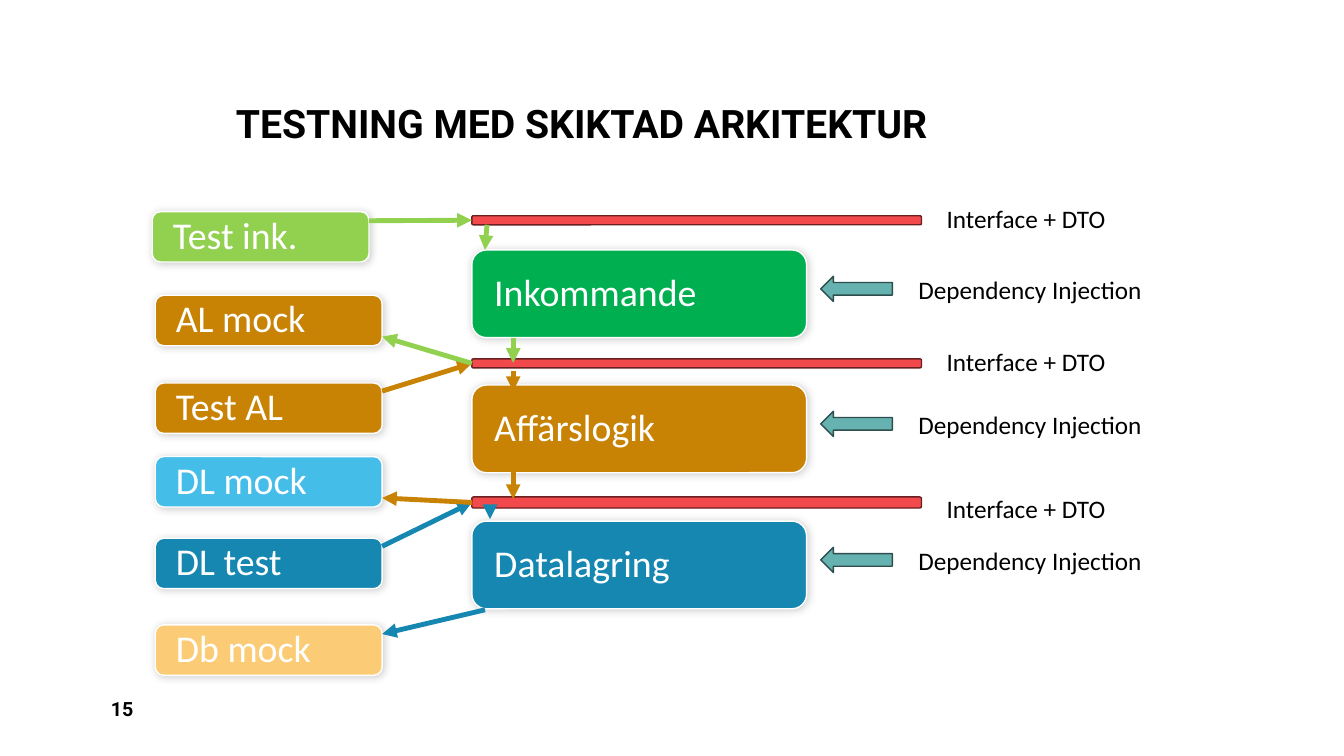
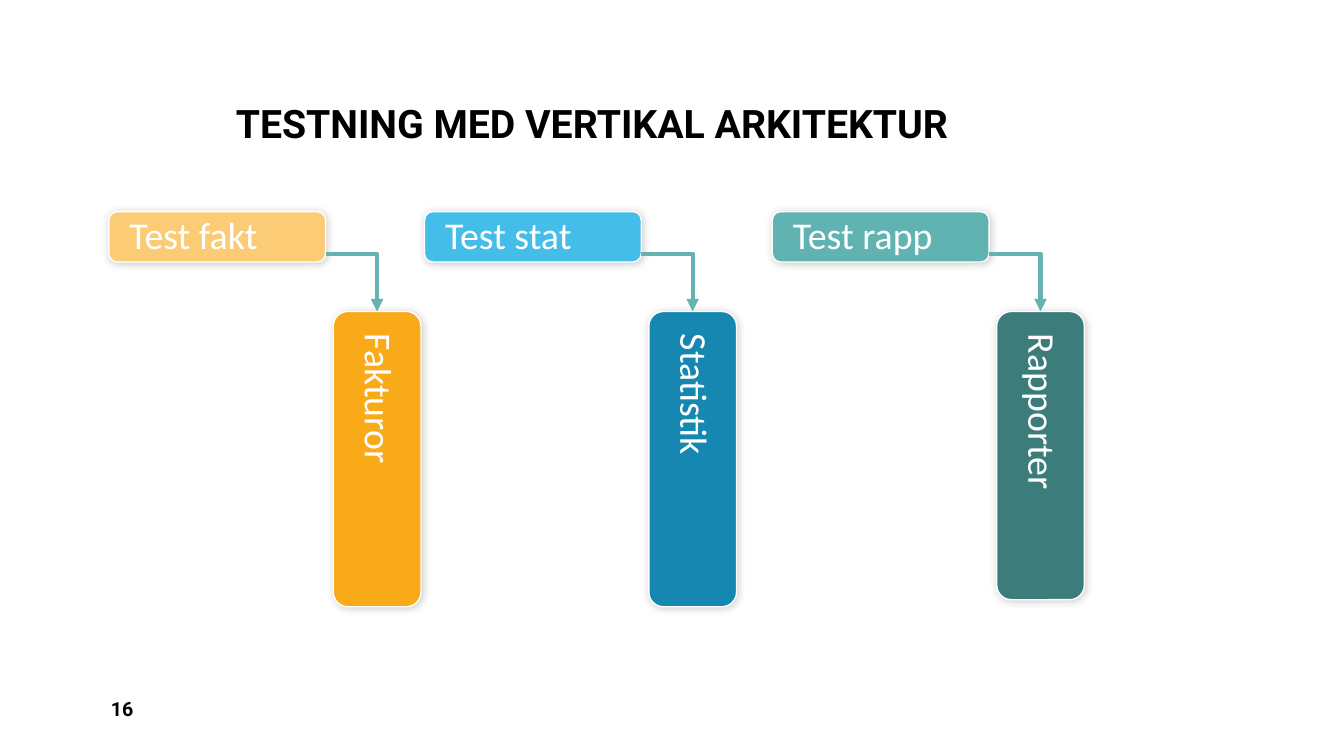
from lxml.etree import SubElement
from pptx import Presentation
from pptx.dml.color import RGBColor
from pptx.enum.shapes import MSO_CONNECTOR as Connector, MSO_SHAPE as Preset
from pptx.enum.text import MSO_ANCHOR as Anchor, PP_ALIGN as Align
from pptx.oxml.ns import qn
from pptx.util import Inches, Pt

WHITE, BLACK, RED, DARK_RED = "FFFFFF", "000000", "F2494C", "6A2021"
LIME, GREEN, BROWN, SKY, BLUE = "92D050", "00B050", "C88305", "45BDE9", "1587B1"
SAND, ORANGE = "FBCC75", "F9AA19"
TEAL, PALE_TEAL, DEEP_TEAL, TEAL_EDGE = "66B2B0", "61B3B2", "3C7C7B", "2D4E4D"

TEST_HEIGHT, LAYER_HEIGHT = 0.5, 0.87
LAYER_LEFT, LAYER_WIDTH = 4.68, 3.32
TEST_RIGHT, TEST_WIDTH, SHORT_TEST_WIDTH = 3.79, 2.25, 2.15

LAYERS = [("Inkommande", 2.48, GREEN), ("Affärslogik", 3.82, BROWN), ("Datalagring", 5.17, BLUE)]
INTERFACES = [(2.14, 0.09, 1.97), (3.56, 0.09, 3.39), (4.93, 0.11, 4.84)]
TESTS = [
    ("AL mock", 2.93, BROWN),
    ("Test AL", 3.8, BROWN),
    ("DL mock", 4.53, SKY),
    ("DL test", 5.34, BLUE),
    ("Db mock", 6.2, SAND),
]
CALLS_TO_INTERFACE = [(0, 3.66, 2.19, LIME), (1, 3.79, 3.88, BROWN), (2, 3.79, 5.42, BLUE)]
CALLS_TO_MOCK = [(1, 3.79, 3.34, LIME), (2, 3.79, 4.94, BROWN)]
FREE_CALLS = [
    (4.83, 2.23, 4.81, 2.48, LIME),
    (5.09, 3.35, 5.09, 3.6, LIME),
    (5.09, 3.68, 5.09, 3.88, BROWN),
    (5.09, 4.68, 5.09, 4.95, BROWN),
    (4.86, 5.06, 4.86, 5.15, BLUE),
    (4.81, 6.05, 3.79, 6.29, BLUE),
]
VERTICALS = [
    ("Test fakt", SAND, 1.08, "Fakturor", ORANGE, 2.93),
    ("Test stat", SKY, 4.21, "Statistik", BLUE, 2.93),
    ("Test rapp", PALE_TEAL, 7.66, "Rapporter", DEEP_TEAL, 2.86),
]


def rgb(color):
    """Turn a hex string into a colour."""
    return RGBColor.from_string(color)


def write(shape, text, size, color, font="Calibri", bold=False, spacing=None):
    """Put one left-aligned run of text in a shape."""
    shape.text_frame.word_wrap = True
    paragraph = shape.text_frame.paragraphs[0]
    paragraph.alignment = Align.LEFT
    paragraph.line_spacing = spacing
    run = paragraph.add_run()
    run.text = text
    run.font.name, run.font.size, run.font.bold = font, Pt(size), bold
    run.font.color.rgb = rgb(color)


def add_text(slide, text, left, top, width, height, size, anchor=Anchor.TOP, **style):
    """Add a text box."""
    shape = slide.shapes.add_textbox(Inches(left), Inches(top), Inches(width), Inches(height))
    shape.text_frame.vertical_anchor = anchor
    write(shape, text, size, BLACK, **style)


def add_preset(slide, preset, left, top, width, height, fill, line):
    """Add a filled and outlined preset shape."""
    shape = slide.shapes.add_shape(preset, Inches(left), Inches(top), Inches(width), Inches(height))
    shape.fill.solid()
    shape.fill.fore_color.rgb = rgb(fill)
    shape.line.color.rgb = rgb(line)
    shape.line.width = Pt(1)
    shape.shadow.inherit = False
    return shape


def add_box(slide, text, left, top, width, height, fill):
    """Add a rounded box with a soft shadow and a white label."""
    box = add_preset(slide, Preset.ROUNDED_RECTANGLE, left, top, width, height, fill, WHITE)
    effects = box.element.spPr.find(qn("a:effectLst"))
    shadow = SubElement(effects, qn("a:outerShdw"), blurRad=str(int(Pt(6))), dist=str(int(Pt(1))),
                        dir="2700000", rotWithShape="0")
    shade = SubElement(shadow, qn("a:srgbClr"), val=BLACK)
    SubElement(shade, qn("a:alpha"), val="20000")
    frame = box.text_frame
    frame.margin_left = frame.margin_right = Inches(0.18)
    frame.margin_top = frame.margin_bottom = Inches(0.04)
    frame.vertical_anchor = Anchor.MIDDLE
    write(box, text, 27, WHITE, spacing=0.9)
    return box


def add_arrow(slide, x1, y1, x2, y2, color, width=3.5, kind=Connector.STRAIGHT):
    """Add a connector with a triangular head at its end."""
    arrow = slide.shapes.add_connector(kind, Inches(x1), Inches(y1), Inches(x2), Inches(y2))
    arrow.line.color.rgb = rgb(color)
    arrow.line.width = Pt(width)
    properties = arrow.element.spPr
    SubElement(properties.find(qn("a:ln")), qn("a:tailEnd"), type="triangle")
    SubElement(properties, qn("a:effectLst"))
    return arrow


def add_interface(slide, top, height, label_top):
    """Add an interface bar with its label."""
    bar = add_preset(slide, Preset.ROUNDED_RECTANGLE, LAYER_LEFT, top, 4.46, height, RED, DARK_RED)
    add_text(slide, "Interface + DTO", 9.29, label_top, 2.03, 0.4, 18)
    return bar


def add_injection(slide, layer_top):
    """Add the injection arrow and label beside a layer."""
    add_preset(slide, Preset.LEFT_ARROW, 8.14, layer_top + 0.26, 0.71, 0.25, TEAL, TEAL_EDGE)
    add_text(slide, "Dependency Injection", 9.01, layer_top + 0.19, 3, 0.4, 18)


def add_vertical(slide, test, test_fill, left, part, part_fill, length):
    """Add a test box that points down at an upright part."""
    right, part_top = left + SHORT_TEST_WIDTH, 3.09
    center, bend = right + 0.51, 2.52
    box = add_box(slide, part, center - length / 2, part_top + (length - LAYER_HEIGHT) / 2,
                  length, LAYER_HEIGHT, part_fill)
    box.rotation = 90
    add_box(slide, test, left, 2.1, SHORT_TEST_WIDTH, TEST_HEIGHT, test_fill)
    arrow = add_arrow(slide, right, bend, center, part_top, TEAL, 3, Connector.ELBOW)
    arrow.element.spPr.find(qn("a:prstGeom")).set("prst", "bentConnector2")


def add_slide(presentation, title, number):
    """Add a blank slide with title and page number."""
    slide = presentation.slides.add_slide(presentation.slide_layouts[6])
    add_text(slide, number, 1, 6.83, 2.92, 0.4, 14, Anchor.MIDDLE, font="Roboto", bold=True)
    add_text(slide, title, 2.24, 0.06, 8.51, 1.45, 28, Anchor.BOTTOM,
             font="Roboto", bold=True, spacing=0.9)
    return slide


def build_layered(presentation):
    """Build the slide on testing a layered architecture."""
    slide = add_slide(presentation, "TESTNING MED SKIKTAD ARKITEKTUR", "15")
    for name, top, fill in LAYERS:
        add_box(slide, name, LAYER_LEFT, top, LAYER_WIDTH, LAYER_HEIGHT, fill)
        add_injection(slide, top)
    bars = [add_interface(slide, *interface) for interface in INTERFACES]
    add_box(slide, "Test ink.", 1.51, 2.1, SHORT_TEST_WIDTH, TEST_HEIGHT, LIME)
    for name, top, fill in TESTS:
        add_box(slide, name, TEST_RIGHT - TEST_WIDTH, top, TEST_WIDTH, TEST_HEIGHT, fill)
    for index, x, y, color in CALLS_TO_INTERFACE:
        add_arrow(slide, x, y, LAYER_LEFT, y, color).end_connect(bars[index], 1)
    for index, x, y, color in CALLS_TO_MOCK:
        add_arrow(slide, LAYER_LEFT, y, x, y, color).begin_connect(bars[index], 1)
    for call in FREE_CALLS:
        add_arrow(slide, *call)


def build_vertical(presentation):
    """Build the slide on testing a vertical architecture."""
    slide = add_slide(presentation, "TESTNING MED VERTIKAL ARKITEKTUR", "16")
    for vertical in VERTICALS:
        add_vertical(slide, *vertical)


def main():
    """Build and save the presentation."""
    presentation = Presentation()
    presentation.slide_width, presentation.slide_height = Inches(13.33), Inches(7.5)
    build_layered(presentation)
    build_vertical(presentation)
    presentation.save("out.pptx")


if __name__ == "__main__":
    main()
